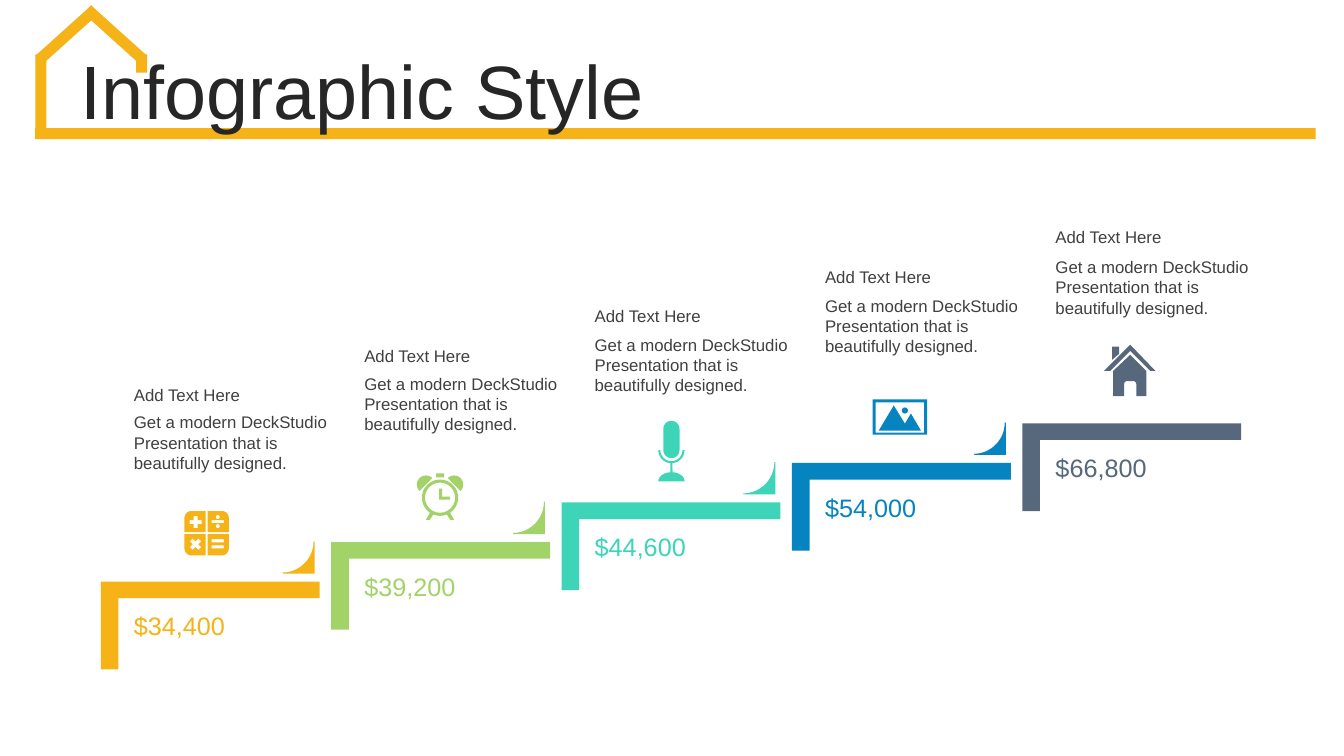
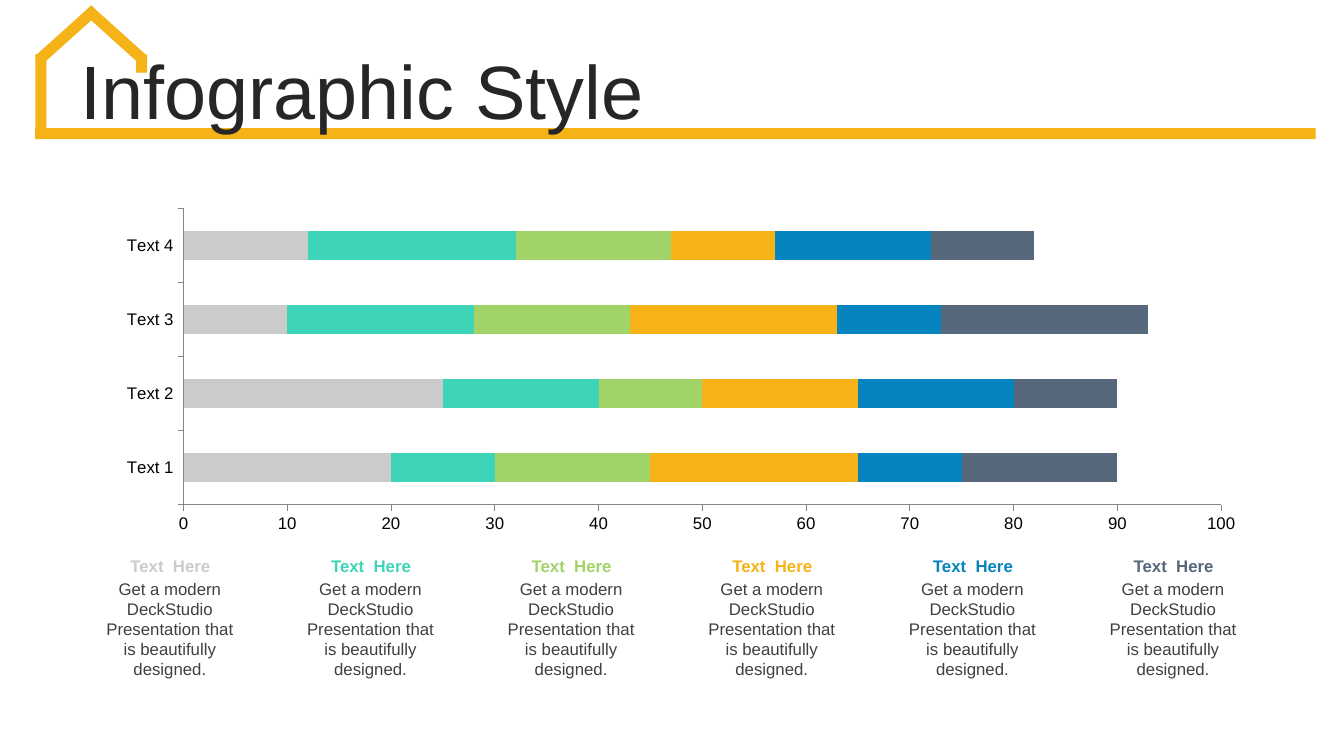
from dataclasses import dataclass
from math import cos, radians, sin
from typing import Callable

from pptx import Presentation
from pptx.chart.data import CategoryChartData
from pptx.dml.color import RGBColor
from pptx.enum.chart import XL_CHART_TYPE, XL_TICK_MARK
from pptx.enum.shapes import MSO_SHAPE
from pptx.enum.text import MSO_ANCHOR, PP_ALIGN
from pptx.util import Inches, Pt

Point = tuple[float, float]
Outline = list[Point]

FONT = "Arial"
YELLOW, GREEN, TEAL = "F5B317", "A2D368", "3ED4B7"
BLUE, SLATE, SILVER = "0684BF", "57687C", "CBCBCB"
TITLE_COLOR, BODY_COLOR, AXIS_COLOR = "262626", "404040", "868686"
DESCRIPTION = "Get a modern DeckStudio Presentation that is beautifully designed."


@dataclass
class Bar:
    left: float
    top: float
    width: float
    height: float
    rotation: float = 0


@dataclass
class Step:
    value: str
    color: str
    icon: Callable[[], list[Outline]]
    icon_x: float
    icon_y: float


@dataclass
class Group:
    color: str
    values: tuple[int, ...]


def rgb(color: str) -> RGBColor:
    return RGBColor.from_string(color)


def paint(shape, color: str) -> None:
    shape.shadow.inherit = False
    shape.fill.solid()
    shape.fill.fore_color.rgb = rgb(color)
    shape.line.fill.background()


def add_preset(page, kind, bar: Bar, color: str):
    shape = page.shapes.add_shape(
        kind, Inches(bar.left), Inches(bar.top), Inches(bar.width), Inches(bar.height)
    )
    shape.rotation = bar.rotation
    paint(shape, color)
    return shape


def add_text(page, text: str, left: float, top: float, width: float, height: float, *,
             size: float = 12, color: str = BODY_COLOR, bold: bool = False,
             align=PP_ALIGN.LEFT, anchor=MSO_ANCHOR.TOP,
             line_spacing: float = 1.0, space_before: float = 0) -> None:
    box = page.shapes.add_textbox(Inches(left), Inches(top), Inches(width), Inches(height))
    frame = box.text_frame
    frame.word_wrap = True
    frame.vertical_anchor = anchor
    para = frame.paragraphs[0]
    para.alignment = align
    para.line_spacing = line_spacing
    para.space_before = Pt(space_before)
    span = para.add_run()
    span.text = text
    span.font.name = FONT
    span.font.size = Pt(size)
    span.font.bold = bold
    span.font.color.rgb = rgb(color)


def add_outlines(page, outlines: list[Outline], x: float, y: float, color: str) -> None:
    placed = [[(Inches(x + px), Inches(y + py)) for px, py in points] for points in outlines]
    builder = page.shapes.build_freeform(*placed[0][0])
    for number, points in enumerate(placed):
        if number:
            builder.move_to(*points[0])
        builder.add_line_segments(points[1:], close=True)
    paint(builder.convert_to_shape(), color)


def arc(x: float, y: float, radius: float, start: float, end: float,
        radius_y: float | None = None, steps: int = 24) -> Outline:
    tall = radius if radius_y is None else radius_y
    angles = [radians(start + (end - start) * i / steps) for i in range(steps + 1)]
    return [(x + radius * cos(a), y + tall * sin(a)) for a in angles]


def block(left: float, top: float, right: float, bottom: float) -> Outline:
    return [(left, top), (right, top), (right, bottom), (left, bottom)]


def cross(x: float, y: float, rotation: float) -> Outline:
    turns = [radians(rotation + 90 * i) for i in range(4)]
    arm = [(0.06, -0.02), (0.06, 0.02), (0.02, 0.02)]
    return [(x + px * cos(a) - py * sin(a), y + px * sin(a) + py * cos(a))
            for a in turns for px, py in arm]


def calculator() -> list[Outline]:
    key = [(0.01, 0.01), (0.22, 0.01), *arc(0.15, 0.15, 0.07, 0, 90), (0.01, 0.22)]
    keys = [[(sx * x, sy * y) for x, y in key] for sx in (-1, 1) for sy in (-1, 1)]
    signs = [cross(-0.11, -0.11, 0), cross(-0.11, 0.11, 45)]
    strokes = [block(0.05, y, 0.17, y + 0.03) for y in (-0.13, 0.06, 0.12)]
    dots = [arc(0.11, y, 0.02, 0, 360) for y in (-0.16, -0.07)]
    return keys + signs + strokes + dots


def clock() -> list[Outline]:
    body = [
        *arc(0, 0, 0.18, -236, 56), (0.14, 0.22), (0.10, 0.22),
        *arc(0, 0, 0.18, 68, 112), (-0.10, 0.22), (-0.14, 0.22),
    ]
    hands = [(-0.01, -0.09), (0.02, -0.09), (0.02, -0.01),
             (0.10, -0.01), (0.10, 0.02), (-0.01, 0.02)]
    bells = [arc(-0.14, -0.13, 0.09, 135, 315), arc(0.14, -0.13, 0.09, -135, 45)]
    return [body, arc(0, 0, 0.15, 0, 360), hands, *bells, block(-0.04, -0.24, 0.04, -0.20)]


def microphone() -> list[Outline]:
    capsule = arc(0, -0.21, 0.08, 180, 360) + arc(0, 0, 0.08, 0, 180)
    stand = [
        *arc(0, 0, 0.13, 0, 86), *arc(0, 0.31, 0.13, 275, 360, 0.09),
        *arc(0, 0.31, 0.13, 180, 265, 0.09), *arc(0, 0, 0.13, 94, 180),
        *arc(0, 0, 0.11, 180, 0),
    ]
    return [capsule, stand]


def landscape() -> list[Outline]:
    hills = [(-0.06, -0.12), (0.05, 0.06), (0.11, -0.04), (0.21, 0.13), (-0.21, 0.13)]
    return [block(-0.27, -0.18, 0.27, 0.17), block(-0.24, -0.15, 0.24, 0.15),
            arc(0.05, -0.07, 0.03, 0, 360), hills]


def house() -> list[Outline]:
    roof = [(-0.26, 0.01), (0, -0.25), (0.25, 0.01), (0.20, 0.01), (0, -0.19), (-0.20, 0.01)]
    chimney = [(-0.18, -0.23), (-0.11, -0.23), (-0.11, -0.16), (-0.18, -0.10)]
    walls = [
        (0, -0.15), (0.16, 0.01), (0.16, 0.26), (0.06, 0.26),
        *arc(0.03, 0.14, 0.03, 0, -90), *arc(-0.03, 0.14, 0.03, -90, -180),
        (-0.06, 0.26), (-0.17, 0.26), (-0.17, 0.01),
    ]
    return [roof, chimney, walls]


HOUSE_LINE = [
    Bar(0.35, 1.27, 12.7, 0.11),
    Bar(0.35, 0.54, 0.11, 0.8),
    Bar(1.35, 0.54, 0.11, 0.18),
    Bar(0.61, -0.03, 0.11, 0.75, 48),
    Bar(1.09, -0.03, 0.11, 0.75, 312),
]

STEPS = [
    Step("$34,400", YELLOW, calculator, 1.05, -0.48),
    Step("$39,200", GREEN, clock, 1.08, -0.44),
    Step("$44,600", TEAL, microphone, 1.09, -0.52),
    Step("$54,000", BLUE, landscape, 1.07, -0.45),
    Step("$66,800", SLATE, house, 1.07, -0.53),
]

GROUPS = [
    Group(SILVER, (20, 25, 10, 12)),
    Group(TEAL, (10, 15, 18, 20)),
    Group(GREEN, (15, 10, 15, 15)),
    Group(YELLOW, (20, 15, 20, 10)),
    Group(BLUE, (10, 15, 10, 15)),
    Group(SLATE, (15, 10, 20, 10)),
]


def add_page(deck, title: str):
    page = deck.slides.add_slide(deck.slide_layouts[6])
    for bar in HOUSE_LINE:
        add_preset(page, MSO_SHAPE.RECTANGLE, bar, YELLOW)
    add_text(page, title, 0.7, 0.55, 12.31, 0.79, size=54, color=TITLE_COLOR,
             anchor=MSO_ANCHOR.MIDDLE, line_spacing=0.9, space_before=10)
    return page


def add_step(page, step: Step, progress: float, is_last: bool) -> None:
    left, top = 1 + 9.14 * progress, 5.77 - 1.57 * progress
    width, height = 2.17, 0.87
    inset = (width - height) / 2
    corner = add_preset(page, MSO_SHAPE.CORNER,
                        Bar(left + inset, top - inset, height, width, 90), step.color)
    corner.adjustments[0], corner.adjustments[1] = 0.2, 0.19
    if not is_last:
        fin = [(2.12, -0.40), (2.12, -0.08), (1.81, -0.08), *arc(1.80, -0.40, 0.31, 90, 0)]
        add_outlines(page, [fin], left, top, step.color)
    text_left = left + 0.23
    add_text(page, "Add Text Here", text_left, top - 2, width, 0.3)
    add_text(page, DESCRIPTION, text_left, 4.04 - 1.54 * progress, width, 0.71)
    add_text(page, step.value, text_left, top + 0.24, 1.52, 0.4, size=18,
             color=step.color, anchor=MSO_ANCHOR.MIDDLE)
    add_outlines(page, step.icon(), left + step.icon_x, top + step.icon_y, step.color)


def add_stacked_chart(page) -> None:
    data = CategoryChartData()
    data.categories = [f"Text {i}" for i in range(1, 5)]
    for number, group in enumerate(GROUPS, 1):
        data.add_series(f"Series {number}", group.values)
    chart = page.shapes.add_chart(XL_CHART_TYPE.BAR_STACKED, Inches(1.03), Inches(2),
                                  Inches(11.45), Inches(3.35), data).chart
    chart.has_legend = False
    chart.has_title = False
    chart.font.name = FONT
    chart.font.size = Pt(12)
    chart.font.color.rgb = rgb("000000")
    plot = chart.plots[0]
    plot.gap_width, plot.overlap, plot.vary_by_categories = 150, 100, False
    for series, group in zip(plot.series, GROUPS):
        series.format.fill.solid()
        series.format.fill.fore_color.rgb = rgb(group.color)
    for axis in (chart.category_axis, chart.value_axis):
        axis.has_major_gridlines = False
        axis.major_tick_mark = XL_TICK_MARK.OUTSIDE
        axis.minor_tick_mark = XL_TICK_MARK.NONE
        axis.format.line.color.rgb = rgb(AXIS_COLOR)
    chart.value_axis.minimum_scale = 0
    chart.value_axis.maximum_scale = 100
    chart.value_axis.major_unit = 10


def main() -> None:
    deck = Presentation()
    deck.slide_width, deck.slide_height = Inches(13.33), Inches(7.5)

    stairs = add_page(deck, "Infographic Style")
    last = len(STEPS) - 1
    for index, step in enumerate(STEPS):
        add_step(stairs, step, index / last, index == last)

    comparison = add_page(deck, "Infographic Style")
    add_stacked_chart(comparison)
    for index, group in enumerate(GROUPS):
        left = 0.93 + 1.99 * index
        add_text(comparison, "Text  Here", left, 5.46, 1.52, 0.3, color=group.color,
                 bold=True, align=PP_ALIGN.CENTER, anchor=MSO_ANCHOR.MIDDLE)
        add_text(comparison, DESCRIPTION, left, 5.69, 1.51, 1.11, align=PP_ALIGN.CENTER)

    deck.save("out.pptx")


if __name__ == "__main__":
    main()
